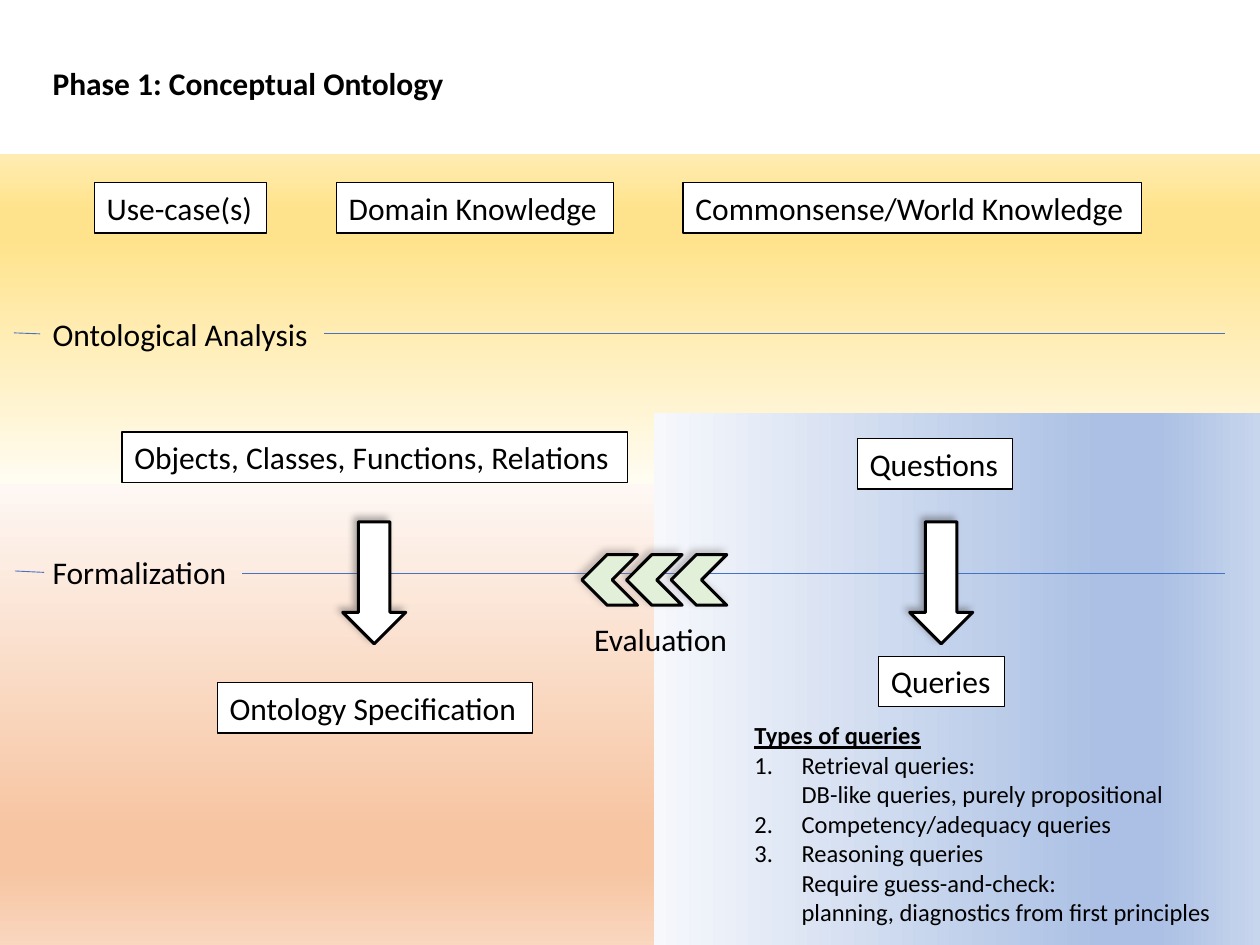
from lxml import etree
from pptx import Presentation
from pptx.dml.color import RGBColor
from pptx.enum.shapes import MSO_CONNECTOR, MSO_SHAPE
from pptx.enum.text import MSO_AUTO_SIZE
from pptx.oxml.ns import qn
from pptx.util import Cm, Pt

RECTANGLE = MSO_SHAPE.RECTANGLE
DOWN_ARROW = MSO_SHAPE.DOWN_ARROW
CHEVRON = MSO_SHAPE.CHEVRON
STRAIGHT = MSO_CONNECTOR.STRAIGHT
FIT_SHAPE = MSO_AUTO_SIZE.SHAPE_TO_FIT_TEXT

FONT = "Calibri"
COLORS = {
    "black": "000000",
    "white": "FFFFFF",
    "green": "E2F0D9",
    "rule": "4472C4",
    "dark shadow": "3B3838",
    "gray shadow": "767171",
}
STOPS = (0, 74, 83, 100)
GRADIENTS = {
    "orange": ("FEF8F5", "F7C5A2", "F7C5A2", "FAD8C1"),
    "yellow": ("FFFCF2", "FFE38C", "FFE38C", "FFECB2"),
    "blue": ("F6F8FC", "ABC0E4", "ABC0E4", "C7D5ED"),
}
LABEL_HEIGHT = 1.02
LABELS = [  # text, left, top, width
    ("Use-case(s)", 1.9, 3.68, 3.48),
    ("Domain Knowledge", 6.78, 3.68, 5.59),
    ("Commonsense/World Knowledge", 13.77, 3.68, 9.25),
    ("Objects, Classes, Functions, Relations", 2.46, 8.71, 10.19),
    ("Questions", 17.28, 8.84, 3.13),
    ("Ontology Specification", 4.38, 13.76, 6.35),
    ("Queries", 17.71, 13.23, 2.54),
]
QUERY_TYPES = [
    "Retrieval queries:\nDB-like queries, purely propositional",
    "Competency/adequacy queries",
    "Reasoning queries\nRequire guess-and-check:\n"
    "planning, diagnostics from first principles",
]


def rgb(name):
    return RGBColor.from_string(COLORS[name])


def add_band(shapes, gradient, left, top, width, height, angle):
    """Background area with a linear gradient; angle runs clockwise."""
    band = shapes.add_shape(RECTANGLE, Cm(left), Cm(top), Cm(width), Cm(height))
    band.shadow.inherit = False
    band.line.fill.background()
    band.fill.gradient()
    band.fill.gradient_angle = (360 - angle) % 360
    stop_list = next(band._element.spPr.iter(qn("a:gsLst")))
    for old_stop in list(stop_list):
        stop_list.remove(old_stop)
    for position, color in zip(STOPS, GRADIENTS[gradient]):
        stop = etree.SubElement(stop_list, qn("a:gs"), pos=str(position * 1000))
        etree.SubElement(stop, qn("a:srgbClr"), val=color)


def write(para, text, size=18, bold=False, underline=False):
    para.text = text
    for span in para.runs:
        font = span.font
        font.name, font.size = FONT, Pt(size)
        font.bold, font.underline = bold, underline
        font.color.rgb = rgb("black")


def add_text(shapes, text, left, top, width, height=LABEL_HEIGHT, framed=False,
             **text_format):
    box = shapes.add_textbox(Cm(left), Cm(top), Cm(width), Cm(height))
    if framed:
        box.fill.solid()
        box.fill.fore_color.rgb = rgb("white")
        box.line.color.rgb = rgb("black")
        box.line.width = Pt(0.75)
    box.text_frame.word_wrap = False
    box.text_frame.auto_size = FIT_SHAPE
    write(box.text_frame.paragraphs[0], text, **text_format)
    return box


def add_numbered(box, text, **text_format):
    para = box.text_frame.add_paragraph()
    properties = para._p.get_or_add_pPr()
    indent = Cm(0.95)
    properties.set("marL", str(indent))
    properties.set("indent", str(-indent))
    etree.SubElement(properties, qn("a:buFont"), typeface="+mj-lt")
    etree.SubElement(properties, qn("a:buAutoNum"), type="arabicPeriod")
    write(para, text, **text_format)


def add_rule(shapes, start_x, start_y, end_x, end_y):
    rule = shapes.add_connector(STRAIGHT, Cm(start_x), Cm(start_y),
                                Cm(end_x), Cm(end_y))
    rule.line.color.rgb = rgb("rule")
    rule.line.width = Pt(0.5)
    etree.SubElement(rule._element.spPr, qn("a:effectLst"))


def add_arrow(shapes, kind, left, top, width, height, fill, shadow, rotation=0):
    """Outlined block arrow with a soft shadow to the upper left."""
    arrow = shapes.add_shape(kind, Cm(left), Cm(top), Cm(width), Cm(height))
    arrow.rotation = rotation
    arrow.fill.solid()
    arrow.fill.fore_color.rgb = rgb(fill)
    arrow.line.color.rgb = rgb("black")
    arrow.line.width = Pt(1.75)
    arrow.shadow.inherit = False
    effects = arrow._element.spPr.find(qn("a:effectLst"))
    outer = etree.SubElement(
        effects, qn("a:outerShdw"), blurRad=str(Pt(4)), dist=str(Pt(3)),
        dir=str(225 * 60000), algn="br", rotWithShape="0")
    color = etree.SubElement(outer, qn("a:srgbClr"), val=COLORS[shadow])
    etree.SubElement(color, qn("a:alpha"), val="40000")


def add_evaluation(shapes):
    group = shapes.add_group_shape().shapes
    for index in range(3):
        add_arrow(group, CHEVRON, 11.73 + 0.9 * index, 11.18, 1.12, 1.02,
                  "green", "gray shadow", rotation=180)
    add_text(group, "Evaluation", 11.73, 12.37, 3.23)


def main():
    deck = Presentation()
    deck.slide_width, deck.slide_height = Cm(25.4), Cm(19.05)
    page = deck.slides.add_slide(deck.slide_layouts[6])
    shapes = page.shapes

    add_band(shapes, "orange", 0, 9.65, 25.4, 9.53, 90)
    add_band(shapes, "yellow", 0, 3.1, 25.4, 6.65, 270)
    add_band(shapes, "blue", 13.18, 8.33, 12.22, 10.85, 0)

    add_text(shapes, "Phase 1: Conceptual Ontology", 0.81, 1.17, 8.46, bold=True)
    for text, left, top, width in LABELS:
        add_text(shapes, text, left, top, width, framed=True)

    add_text(shapes, "Ontological Analysis", 0.81, 6.22, 5.72)
    add_text(shapes, "Formalization", 0.81, 11.02, 4.06)
    add_rule(shapes, 6.53, 6.72, 24.69, 6.72)
    add_rule(shapes, 0.81, 6.73, 0.28, 6.71)
    add_rule(shapes, 4.88, 11.56, 24.69, 11.56)
    add_rule(shapes, 0.89, 11.54, 0.3, 11.51)

    for left in (6.91, 18.34):
        add_arrow(shapes, DOWN_ARROW, left, 10.52, 1.27, 2.46,
                  "white", "dark shadow")
    add_evaluation(shapes)

    queries = add_text(shapes, "Types of queries", 14.96, 14.4, 9.8, 4.45,
                       size=14, bold=True, underline=True)
    for text in QUERY_TYPES:
        add_numbered(queries, text, size=14)

    deck.save("out.pptx")


if __name__ == "__main__":
    main()
